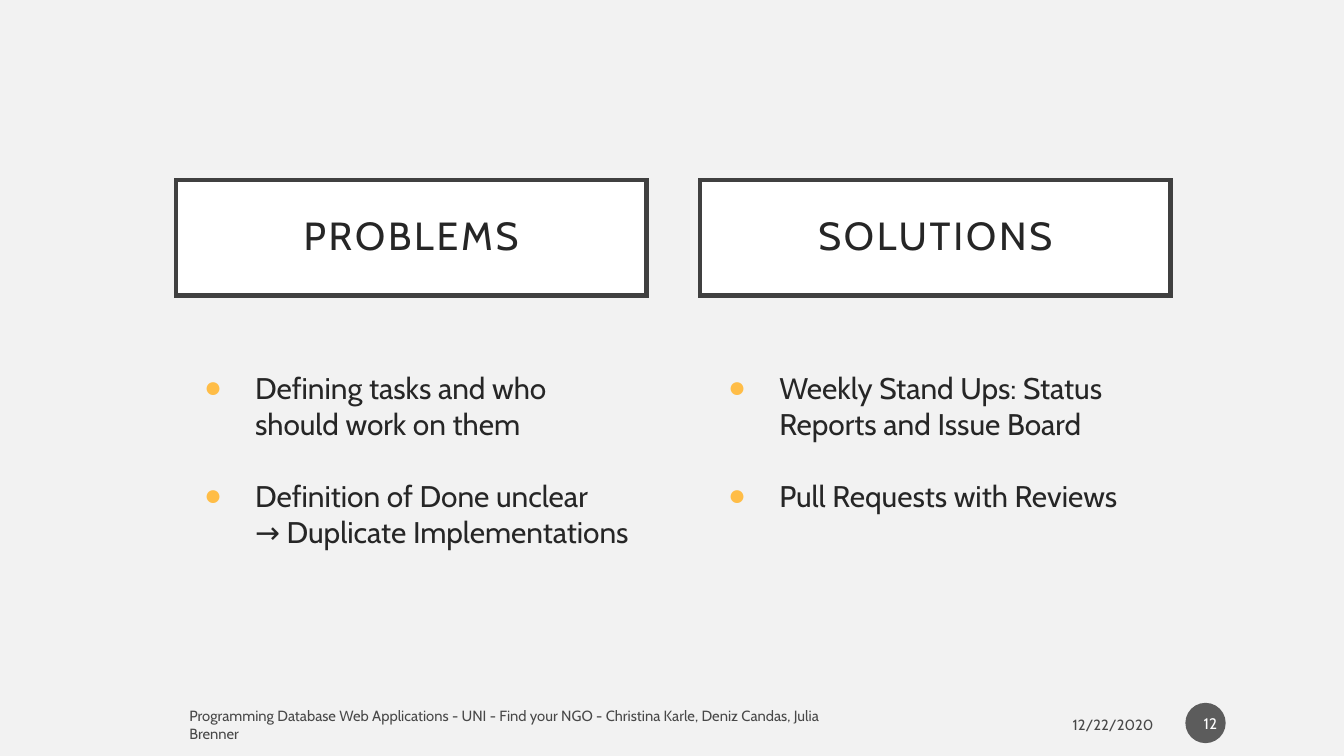
from pptx import Presentation
from pptx.dml.color import RGBColor
from pptx.enum.shapes import MSO_SHAPE
from pptx.enum.text import MSO_ANCHOR, PP_ALIGN
from pptx.oxml.ns import qn
from pptx.util import Inches, Pt
from lxml.etree import SubElement

INK = "262626"
TITLE = {"size": Pt(21), "name": "Cabin"}
BODY = {"size": Pt(16), "name": "Cabin"}
FOOT = {"size": Pt(7.9), "name": "Cabin"}
PAGE = {"size": Pt(8.2), "name": "Cabin"}


def paint(fill, color, root=None, alpha=100):
    fill.solid()
    fill.fore_color.rgb = RGBColor.from_string(color)
    if alpha < 100:
        for node in root.iter(qn("a:srgbClr")):
            SubElement(node, qn("a:alpha"), val=str(alpha * 1000))


def write(par, text, form, color, alpha=100):
    par.text = text
    for run in par.runs:
        for key, val in form.items():
            setattr(run.font, key, val)
        paint(run.font.fill, color, run._r, alpha)
    for br in par._p.iter(qn("a:br")):
        SubElement(br, qn("a:rPr"), sz=str(int(form["size"].pt * 100)))


def setup(shape, **form):
    frame = shape.text_frame
    frame.word_wrap = True
    form = {"vertical_anchor": MSO_ANCHOR.MIDDLE, **form}
    for key, val in form.items():
        setattr(frame, key, val)
    return frame


def bullet(par):
    props = par._p.get_or_add_pPr()
    props.set("marL", str(Inches(0.5)))
    props.set("indent", str(Inches(-0.38)))
    color = SubElement(props, qn("a:buClr"))
    SubElement(color, qn("a:srgbClr"), val="FFBD47")
    SubElement(props, qn("a:buFont"), typeface="Arial")
    SubElement(props, qn("a:buChar"), char="●")


def shape_at(slide, kind, box):
    shape = slide.shapes.add_shape(kind, *map(Inches, box))
    shape.shadow.inherit = False
    return shape


# Framed heading with a bullet list below
def column(slide, x, y, head, items):
    area = slide.shapes.add_textbox(
        *map(Inches, (x - 0.01, y + 0.66, 3.5, 2.83)))
    text = setup(area, vertical_anchor=MSO_ANCHOR.TOP, margin_top=Inches(0.75))
    for i, item in enumerate(items):
        par = text.add_paragraph() if i else text.paragraphs[0]
        par.space_before = Pt(19.4 if i else 0)
        bullet(par)
        write(par, item, BODY, INK)

    frame = shape_at(slide, MSO_SHAPE.RECTANGLE, (x, y, 3.5, 0.86))
    paint(frame.fill, "FFFFFF")
    paint(frame.line.fill, "404040")
    frame.line.width = Pt(2.5)
    SubElement(frame._element.spPr.find(qn("a:ln")), qn("a:miter"),
               lim="800000")
    pad = Inches(0.1)
    par = setup(frame, margin_left=pad, margin_right=pad,
                margin_top=pad, margin_bottom=pad).paragraphs[0]
    par.alignment = PP_ALIGN.CENTER
    par.line_spacing = 0.9
    write(par, head, TITLE, INK)
    for run in par.runs:
        run.font._element.set("spc", "150")


# Footer text, date and page number
def footer(slide, x, y, note, date, page):
    parts = ((0, 5.32, note, PP_ALIGN.LEFT, 0.3),
             (5.11, 2.26, date, PP_ALIGN.RIGHT, 0.1))
    for dx, wide, words, align, edge in parts:
        area = slide.shapes.add_textbox(*map(Inches, (x + dx, y, wide, 0.28)))
        par = setup(area, margin_right=Inches(edge)).paragraphs[0]
        par.alignment = align
        write(par, words, FOOT, "000000", 70)
    disc = shape_at(slide, MSO_SHAPE.OVAL, (x + 7.51, y - 0.02, 0.3, 0.3))
    paint(disc.fill, "1D1D1D", disc._element.spPr, 70)
    disc.line.fill.background()
    par = setup(disc, margin_left=Inches(0.02),
                margin_right=Inches(0.02)).paragraphs[0]
    par.alignment = PP_ALIGN.RIGHT
    write(par, page, PAGE, "FFFFFF")


deck = Presentation()
deck.slide_width = Inches(10)
deck.slide_height = deck.slide_width * 9 // 16
slide = deck.slides.add_slide(deck.slide_layouts[6])
paint(slide.background.fill, "F2F2F2")

columns = (
    ("PROBLEMS", ("Defining tasks and who should work on them",
                  "Definition of Done unclear\v→ Duplicate Implementations")),
    ("SOLUTIONS", ("Weekly Stand Ups: Status Reports and Issue Board",
                   "Pull Requests with Reviews\u00a0")),
)
for i, (head, items) in enumerate(columns):
    column(slide, 1.31 + i * 3.9, 1.34, head, items)
footer(slide, 1.31, 5.25,
       "Programming Database Web Applications - UNI - Find your NGO - "
       "Christina Karle, Deniz Candas, Julia Brenner", "12/22/2020", "12")

deck.save("out.pptx")
